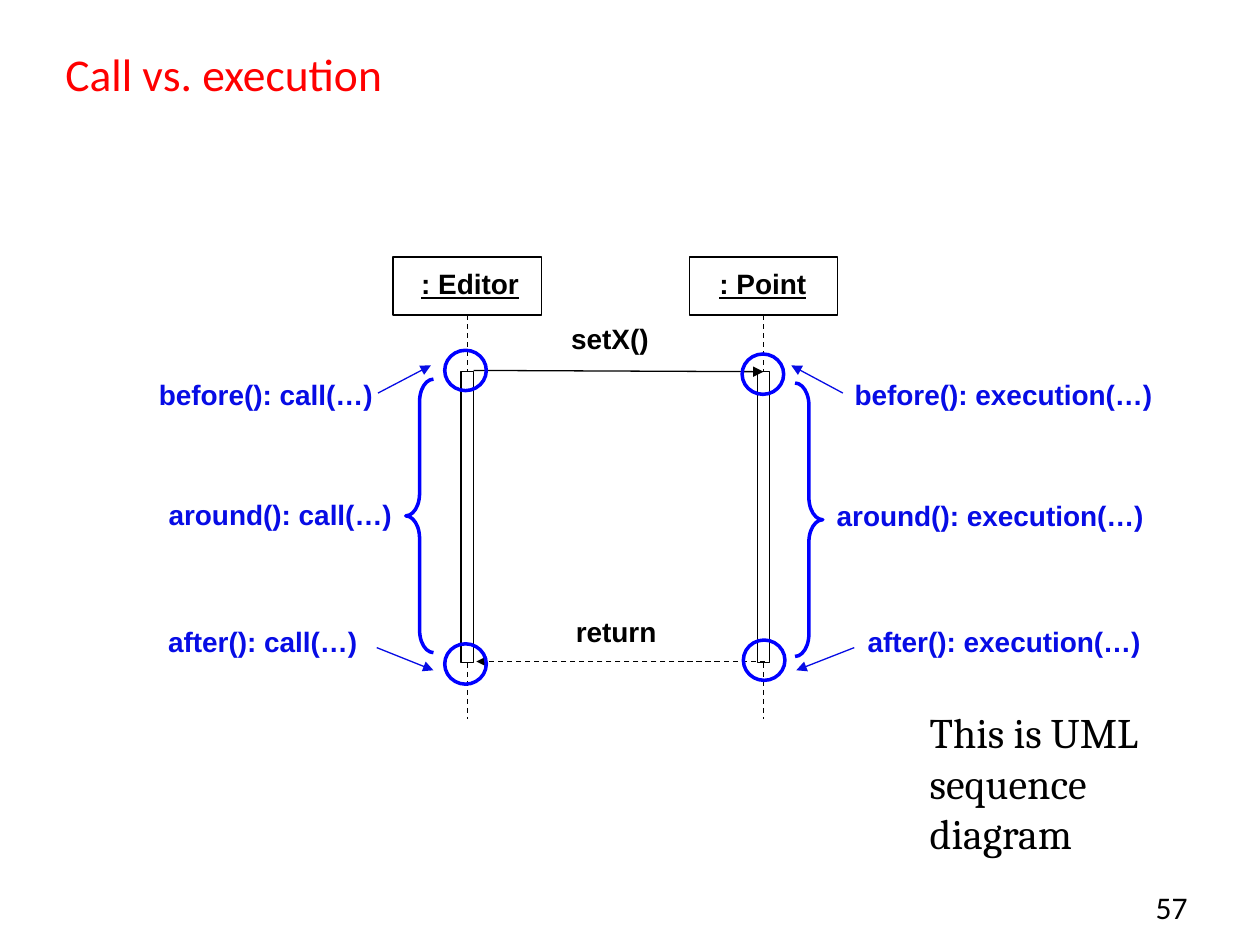
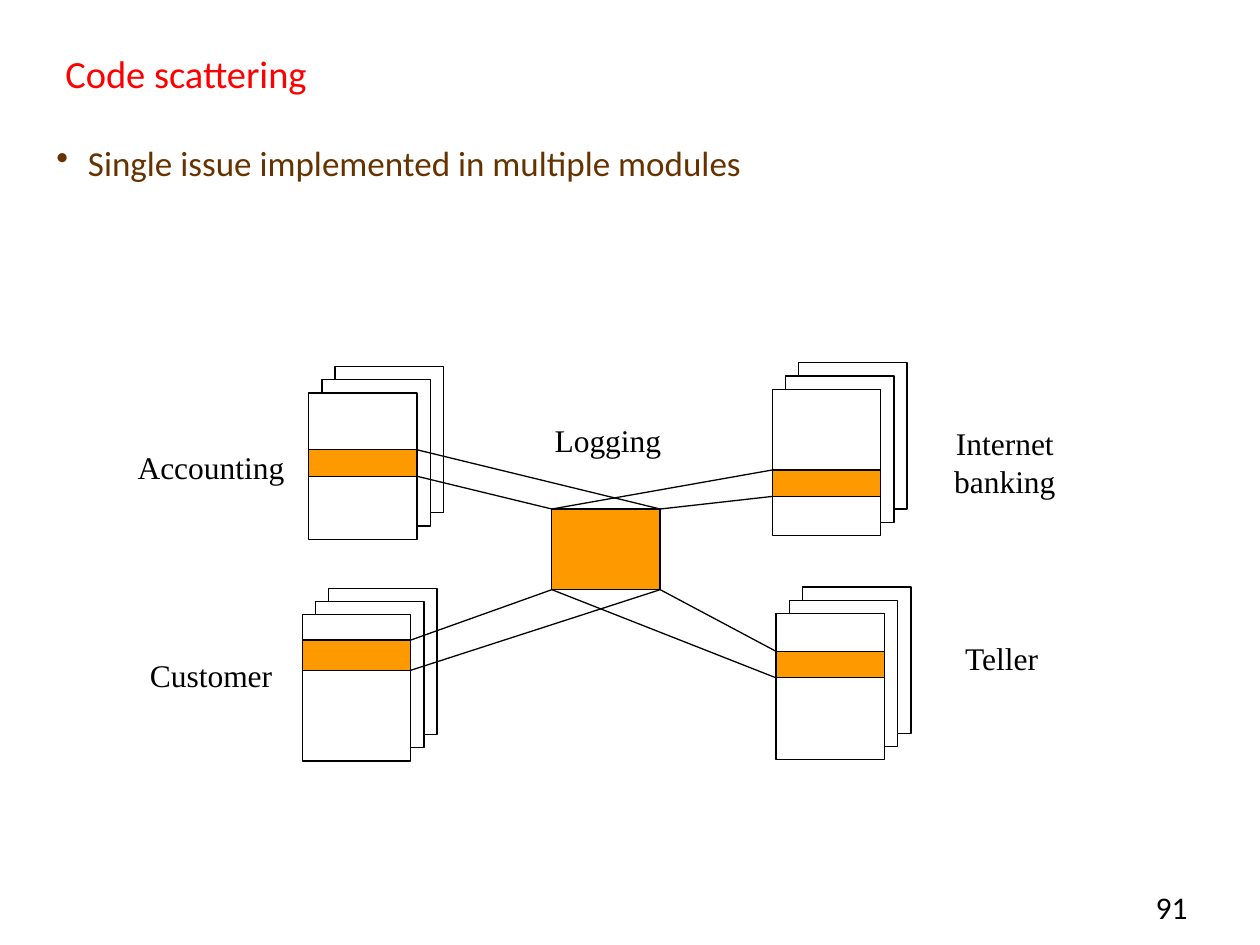
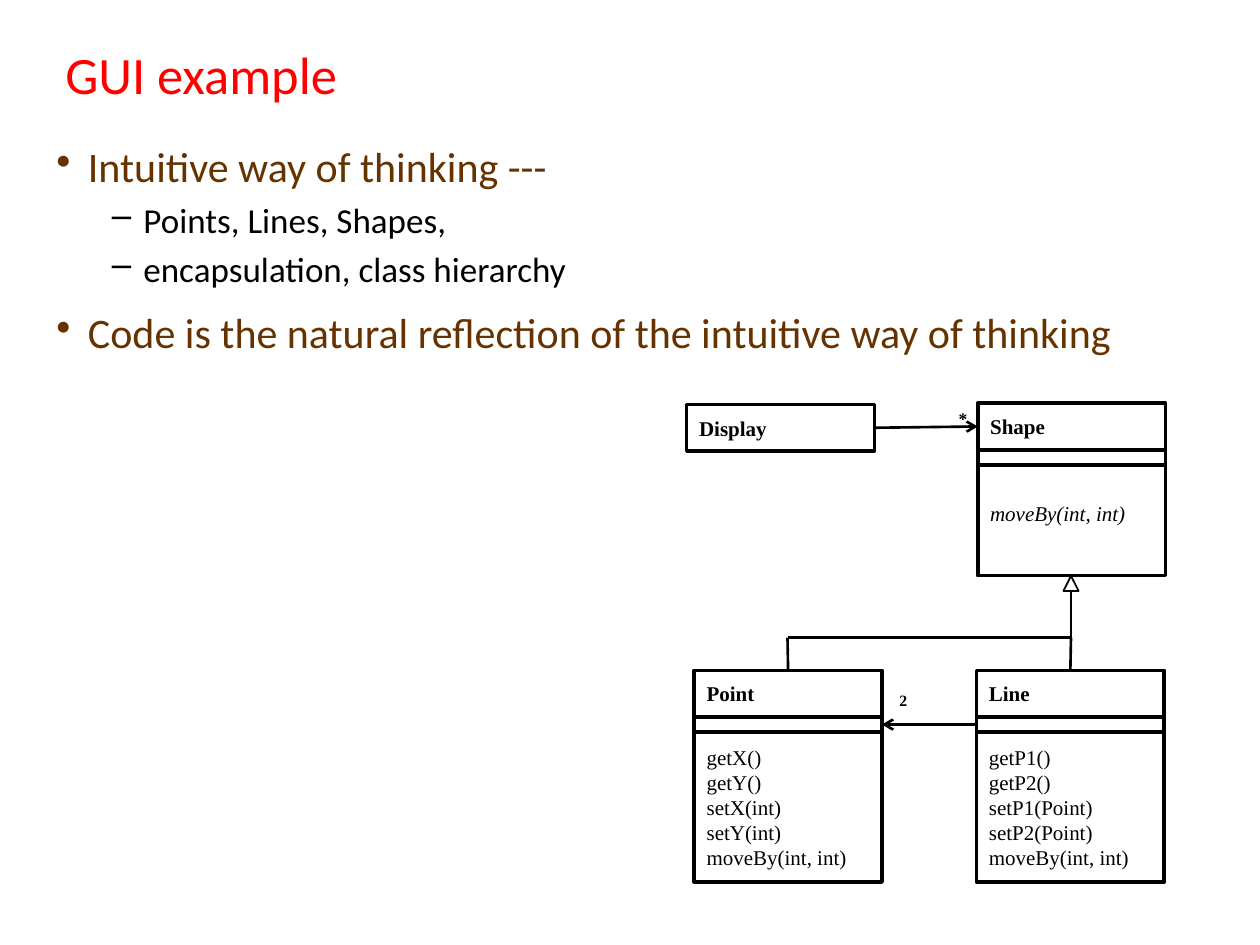
from lxml import etree
from pptx import Presentation
from pptx.dml.color import RGBColor
from pptx.enum.dml import MSO_LINE
from pptx.enum.shapes import MSO_CONNECTOR, MSO_SHAPE
from pptx.enum.text import MSO_ANCHOR, PP_ALIGN
from pptx.oxml.ns import qn
from pptx.util import Inches, Pt

LEFT, CENTER, RIGHT = PP_ALIGN.LEFT, PP_ALIGN.CENTER, PP_ALIGN.RIGHT
TOP, MIDDLE = MSO_ANCHOR.TOP, MSO_ANCHOR.MIDDLE
RECT, OVAL, TRIANGLE = MSO_SHAPE.RECTANGLE, MSO_SHAPE.OVAL, MSO_SHAPE.ISOSCELES_TRIANGLE
LEFT_BRACE, RIGHT_BRACE = MSO_SHAPE.LEFT_BRACE, MSO_SHAPE.RIGHT_BRACE
STRAIGHT, DASH = MSO_CONNECTOR.STRAIGHT, MSO_LINE.DASH

COLORS = {
    "title": "FF0000", "body": "663300", "ink": "000000", "paper": "FFFFFF",
    "logging": "FF9900", "advice": "070CE5", "joinpoint": "0000FF",
}
SANS, DIAGRAM, SERIF, NOTE = "Calibri", "Arial", "Times New Roman", "Cambria"

# Connection sites of a rectangle
SITE_TOP, SITE_LEFT, SITE_BOTTOM, SITE_RIGHT = range(4)


def rgb(name):
    return RGBColor.from_string(COLORS[name])


# Elements

def style_font(paragraph, size, face, color="ink", bold=False, italic=False, underline=False):
    font = paragraph.font
    font.size, font.name = Pt(size), face
    font.bold, font.italic, font.underline = bold, italic, underline
    font.color.rgb = rgb(color)


def write(frame, text, size, face, align=LEFT, anchor=TOP, wrap=True, **style):
    frame.word_wrap = wrap
    frame.vertical_anchor = anchor
    for index, line in enumerate(text.split("\n")):
        paragraph = frame.add_paragraph() if index else frame.paragraphs[0]
        paragraph.text = line
        paragraph.alignment = align
        style_font(paragraph, size, face, **style)


def add_label(slide, box, text, size, face, **style):
    label = slide.shapes.add_textbox(*map(Inches, box))
    write(label.text_frame, text, size, face, **style)


def add_outline(slide, kind, box, fill=None, line="ink", weight=0.75):
    shape = slide.shapes.add_shape(kind, *map(Inches, box))
    shape.shadow.inherit = False
    if fill:
        shape.fill.solid()
        shape.fill.fore_color.rgb = rgb(fill)
    else:
        shape.fill.background()
    shape.line.color.rgb = rgb(line)
    shape.line.width = Pt(weight)
    return shape


def add_line(slide, start, end, color="ink", weight=0.75, dashed=False, arrow=None):
    """Each end is a point (x, y) or a joint (shape, site)."""
    joints = [end_ if not isinstance(end_[0], (int, float)) else None for end_ in (start, end)]
    points = [(0, 0) if joint else point for joint, point in zip(joints, (start, end))]
    line = slide.shapes.add_connector(STRAIGHT, *(Inches(v) for point in points for v in point))
    if joints[0]:
        line.begin_connect(*joints[0])
    if joints[1]:
        line.end_connect(*joints[1])
    line.line.color.rgb = rgb(color)
    line.line.width = Pt(weight)
    if dashed:
        line.line.dash_style = DASH
    if arrow:
        etree.SubElement(line.line._get_or_add_ln(), qn("a:tailEnd"), type=arrow)
    etree.SubElement(line._element.spPr, qn("a:effectLst"))


def add_bullets(slide, items):
    """items: (level, text, size)"""
    levels = [("•", 0.25, 0.4, "body"), ("–", 0.69, 0.2, "ink")]
    body = slide.shapes.add_textbox(*map(Inches, (0.35, 1.07, 9.17, 5.67)))
    frame = body.text_frame
    frame.word_wrap = True
    for index, (level, text, size) in enumerate(items):
        mark, indent, gap, color = levels[level]
        paragraph = frame.add_paragraph() if index else frame.paragraphs[0]
        paragraph.text = text
        paragraph.level = level
        if index:
            paragraph.space_before = Pt(round(gap * size))
        properties = paragraph._p.get_or_add_pPr()
        properties.set("marL", str(Inches(indent)))
        properties.set("indent", str(Inches(-0.25)))
        etree.SubElement(properties, qn("a:buChar"), char=mark)
        style_font(paragraph, size, SANS, color)


def new_slide(deck, title, title_size, number=None):
    slide = deck.slides.add_slide(deck.slide_layouts[6])
    add_label(slide, (0.42, 0.33, 9.08, 0.5), title, title_size, SANS,
              anchor=MIDDLE, color="title")
    if number:
        add_label(slide, (8.83, 7, 0.75, 0.5), f"{number} ", 18, SANS, align=RIGHT)
    return slide


# Sequence diagram

def add_lifeline(slide, axis, name, name_box):
    add_label(slide, name_box, name, 16, DIAGRAM, align=CENTER, wrap=False,
              bold=True, underline=True)
    head = add_outline(slide, RECT, (axis - 0.59, 2.04, 1.18, 0.46))
    activation = add_outline(slide, RECT, (axis - 0.05, 2.95, 0.1, 2.31))
    add_line(slide, (head, SITE_BOTTOM), (activation, SITE_TOP), dashed=True)
    add_line(slide, (activation, SITE_BOTTOM), (axis, 5.71), dashed=True)


def add_advice(slide, pointcut, labels, circles, brace, brace_box, arrows):
    for kind, box in labels.items():
        add_label(slide, box, f"{kind}(): {pointcut}(…)", 16, DIAGRAM,
                  align=CENTER, wrap=False, color="advice", bold=True)
    for left, top in circles:
        add_outline(slide, OVAL, (left, top, 0.33, 0.32), line="joinpoint", weight=2)
    span = add_outline(slide, brace, brace_box, line="joinpoint", weight=2)
    span.adjustments[0] = 0.81
    for start, end in arrows:
        add_line(slide, start, end, color="advice", arrow="triangle")


def build_call_vs_execution(deck):
    slide = new_slide(deck, "Call vs. execution", 26, 57)
    add_lifeline(slide, 3.71, ": Editor", (3.24, 2.07, 0.98, 0.37))
    add_lifeline(slide, 6.06, ": Point", (5.61, 2.07, 0.89, 0.37))

    # Messages
    add_line(slide, (3.76, 2.94), (6.06, 2.95), arrow="triangle")
    add_line(slide, (6.07, 5.25), (3.78, 5.25), dashed=True, arrow="triangle")
    for text, box in (("setX()", (4.43, 2.5, 0.82, 0.37)), ("return", (4.47, 4.83, 0.84, 0.37))):
        add_label(slide, box, text, 16, DIAGRAM, align=CENTER, wrap=False, bold=True)

    # Advice on either side
    add_advice(slide, "call",
               {"before": (1.12, 2.95, 1.98, 0.37), "around": (1.21, 3.9, 2.03, 0.37),
                "after": (1.22, 4.91, 1.73, 0.37)},
               [(3.53, 2.78), (3.53, 5.11)], LEFT_BRACE, (3.22, 3.01, 0.22, 2.17),
               [((3, 3.12), (3.42, 2.9)), ((2.99, 5.14), (3.44, 5.32))])
    add_advice(slide, "execution",
               {"before": (6.65, 2.95, 2.63, 0.37), "around": (6.51, 3.91, 2.7, 0.37),
                "after": (6.75, 4.91, 2.44, 0.37)},
               [(5.89, 2.81), (5.9, 5.08)], RIGHT_BRACE, (6.31, 3.04, 0.22, 2.17),
               [((6.69, 3.12), (6.28, 2.9)), ((6.78, 5.14), (6.32, 5.32))])

    add_label(slide, (7.28, 5.56, 1.89, 1.7), "This is UML sequence diagram", 24, NOTE)


# Scattered modules

PAGE_W, PAGE_H, PAGE_STEP = 0.86, 1.16, 0.105
HUB_LEFT, HUB_TOP, HUB_H = 4.38, 4.04, 0.64


def add_module(slide, left, top, band_top, band_height):
    for depth in (2, 1, 0):
        offset = depth * PAGE_STEP
        add_outline(slide, RECT, (left + offset, top - offset, PAGE_W, PAGE_H), fill="paper")
    add_outline(slide, RECT, (left, band_top, PAGE_W, band_height), fill="logging")


def add_scatter_lines(slide, left, band_top, band_height):
    """Join the inner edge of a module's band to the near side of the hub."""
    on_left, above = left < HUB_LEFT, band_top < HUB_TOP
    inner_x = left + PAGE_W if on_left else left
    hub_y = HUB_TOP if above else HUB_TOP + HUB_H
    corners = [HUB_LEFT, HUB_LEFT + PAGE_W]
    if on_left == above:
        corners.reverse()
    for corner, band_y in zip(corners, (band_top, band_top + band_height)):
        add_line(slide, (corner, hub_y), (inner_x, band_y))


def build_code_scattering(deck):
    slide = new_slide(deck, "Code scattering", 22, 91)
    add_bullets(slide, [(0, "Single issue implemented in multiple modules", 20)])

    # left, top, band top, band height
    modules = [(2.45, 3.12, 3.57, 0.21), (6.13, 3.09, 3.73, 0.21),
               (6.16, 4.87, 5.17, 0.21), (2.4, 4.88, 5.08, 0.24)]
    for module in modules:
        add_module(slide, *module)
    add_outline(slide, RECT, (HUB_LEFT, HUB_TOP, PAGE_W, HUB_H), fill="logging")
    for left, _, band_top, band_height in modules:
        add_scatter_lines(slide, left, band_top, band_height)

    names = {
        "Logging": (4.3, 3.29, 1.05, 0.4), "Accounting": (0.99, 3.51, 1.37, 0.4),
        "Internet\nbanking": (7.47, 3.32, 1.01, 0.7),
        "Customer": (1.09, 5.16, 1.17, 0.4), "Teller": (7.55, 5.02, 0.8, 0.4),
    }
    for name, box in names.items():
        add_label(slide, box, name, 18, SERIF, align=CENTER, wrap=False)


# Class diagram

CLASS_W, NAME_H, FIELDS_H = 1.49, 0.37, 0.12


def add_compartment(slide, left, top, height, text="", **style):
    part = add_outline(slide, RECT, (left, top, CLASS_W, height), weight=2)
    if text:
        write(part.text_frame, text, 12, SERIF, anchor=MIDDLE, **style)
    return part


def add_class(slide, left, top, name, methods, methods_top, methods_height, italic=False):
    """Return the name and field compartments."""
    name_part = add_compartment(slide, left, top, NAME_H, name, bold=True)
    add_compartment(slide, left, methods_top, methods_height, methods, italic=italic)
    return name_part, add_compartment(slide, left, top + NAME_H, FIELDS_H)


def build_gui_example(deck):
    slide = new_slide(deck, "GUI example", 30)
    add_bullets(slide, [
        (0, "Intuitive way of thinking ---", 24),
        (1, "Points, Lines, Shapes,", 20),
        (1, "encapsulation, class hierarchy", 20),
        (0, "Code is the natural reflection of the intuitive way of thinking", 24),
    ])

    # Classes
    display = add_compartment(slide, 5.45, 3.21, NAME_H, "Display", bold=True)
    shape_name, _ = add_class(slide, 7.76, 3.2, "Shape", "moveBy(int, int)",
                              3.57, 1, italic=True)
    point_name, point_fields = add_class(
        slide, 5.51, 5.32, "Point",
        "getX()\ngetY()\nsetX(int)\nsetY(int)\nmoveBy(int, int)", 5.81, 1.19)
    line_name, line_fields = add_class(
        slide, 7.75, 5.32, "Line",
        "getP1()\ngetP2()\nsetP1(Point)\nsetP2(Point)\nmoveBy(int, int)", 5.81, 1.19)

    # Associations
    add_line(slide, (display, SITE_RIGHT), (shape_name, SITE_LEFT), weight=1.5, arrow="arrow")
    add_line(slide, (line_fields, SITE_LEFT), (point_fields, SITE_RIGHT),
             weight=1.5, arrow="arrow")
    add_label(slide, (7.51, 3.19, 0.25, 0.27), "*", 10, SERIF, bold=True)
    add_label(slide, (7.04, 5.43, 0.25, 0.25), "2", 9, SERIF, bold=True)

    # Inheritance
    branch_y, point_x, line_x = 5.06, 6.25, 8.5
    add_line(slide, (point_name, SITE_TOP), (point_x, branch_y), weight=1.5)
    add_line(slide, (line_name, SITE_TOP), (line_x, branch_y), weight=1.5)
    add_line(slide, (point_x, branch_y), (line_x, branch_y), weight=1.5)
    add_line(slide, (line_x, branch_y), (line_x, 4.69), weight=1.5)
    add_outline(slide, TRIANGLE, (8.44, 4.57, 0.12, 0.12), fill="paper", weight=1)


def main():
    deck = Presentation()
    deck.slide_width, deck.slide_height = Inches(10), Inches(7.5)
    build_call_vs_execution(deck)
    build_code_scattering(deck)
    build_gui_example(deck)
    deck.save("out.pptx")


if __name__ == "__main__":
    main()
